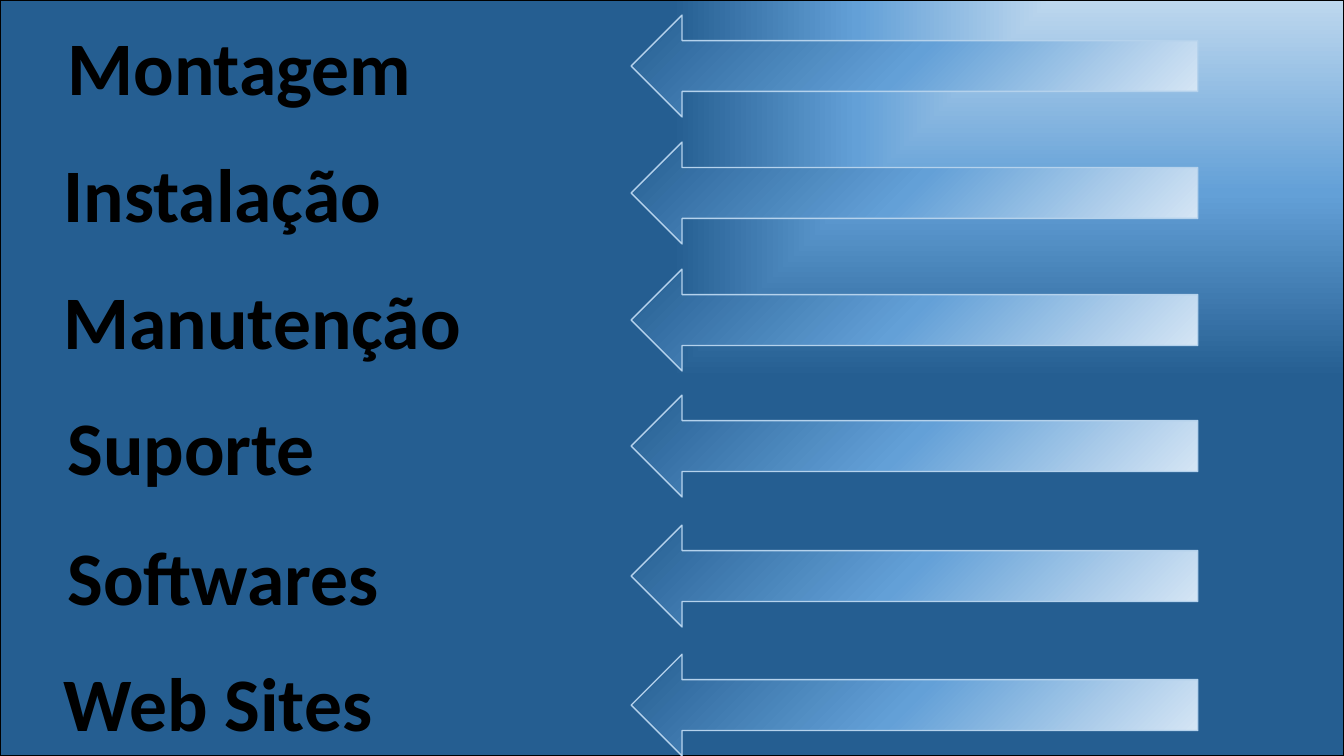
from lxml import etree
from pptx import Presentation
from pptx.dml.color import RGBColor
from pptx.enum.shapes import MSO_SHAPE as Shape
from pptx.enum.text import MSO_AUTO_SIZE as AutoSize
from pptx.oxml import parse_xml
from pptx.oxml.ns import nsdecls, qn
from pptx.util import Inches, Pt

BLACK = RGBColor(0x00, 0x00, 0x00)
WHITE = RGBColor(0xFF, 0xFF, 0xFF)
SKY = RGBColor(0xBD, 0xD7, 0xEE)
PALE = RGBColor(0xDE, 0xEB, 0xF7)
MEDIUM = RGBColor(0x63, 0xA0, 0xD7)
DEEP = RGBColor(0x25, 0x5E, 0x91)
EDGE = RGBColor(0xB5, 0xD2, 0xEC)

WIDTH, HEIGHT = 13.33, 7.5
ROW_HEIGHT = 1.01
ARROW_LEFT, ARROW_WIDTH = 6.26, 5.62

# label, label left, label top, label width, arrow top
SERVICES = [
    ("Montagem", 0.57, 0.15, 3.82, 0.15),
    ("Instalação", 0.53, 1.41, 3.38, 1.41),
    ("Manutenção", 0.53, 2.67, 4.19, 2.67),
    ("Suporte", 0.57, 3.92, 2.68, 3.92),
    ("Softwares", 0.57, 5.21, 3.34, 5.21),
    ("Web Sites", 0.53, 6.46, 3.3, 6.49),
]


def write_text(paragraph, text, *, size, color, outline, font="Calibri", bold=True):
    """Add a run whose letters carry a thin outline."""
    run = paragraph.add_run()
    run.text = text
    run.font.name = font
    run.font.size = Pt(size)
    run.font.bold = bold
    run.font.color.rgb = color
    line = etree.Element(qn("a:ln"), w=str(Pt(0.75)))
    fill = etree.SubElement(line, qn("a:solidFill"))
    etree.SubElement(fill, qn("a:srgbClr"), val=str(outline))
    run.font._element.insert(0, line)


class ServiceSlide:
    """Holds the slide and the style of its elements."""

    text_style = dict(size=54, color=BLACK, outline=WHITE)

    def __init__(self, presentation):
        self.slide = presentation.slides.add_slide(presentation.slide_layouts[6])

    def gradient_shape(self, kind, box, *, light, line, shade, focus):
        """Add a shape that darkens away from the focus corner (l, t, r, b attributes)."""
        shape = self.slide.shapes.add_shape(kind, *map(Inches, box))
        shape.shadow.inherit = False
        shape.line.color.rgb = line
        shape.line.width = Pt(1)
        shape.fill.background()
        stops = "".join(
            f'<a:gs pos="{position * 1000}"><a:srgbClr val="{color}"/></a:gs>'
            for position, color in ((0, light), (51, MEDIUM), (100, DEEP))
        )
        gradient = parse_xml(
            f'<a:gradFill {nsdecls("a")} rotWithShape="1"><a:gsLst>{stops}</a:gsLst>'
            f'<a:path path="{shade}"><a:fillToRect {focus}/></a:path></a:gradFill>'
        )
        properties = shape._element.spPr
        properties.replace(properties.find(qn("a:noFill")), gradient)

    def background(self):
        self.gradient_shape(Shape.RECTANGLE, (0, 0, WIDTH, HEIGHT), light=SKY,
                            line=BLACK, shade="rect", focus='l="100000" b="100000"')

    def arrow(self, top):
        self.gradient_shape(Shape.LEFT_ARROW, (ARROW_LEFT, top, ARROW_WIDTH, ROW_HEIGHT),
                            light=PALE, line=EDGE, shade="circle",
                            focus='l="100000" t="100000"')

    def label(self, text, left, top, width):
        box = self.slide.shapes.add_textbox(*map(Inches, (left, top, width, ROW_HEIGHT)))
        frame = box.text_frame
        frame.word_wrap = False
        frame.auto_size = AutoSize.SHAPE_TO_FIT_TEXT
        write_text(frame.paragraphs[0], text, **self.text_style)


def main():
    presentation = Presentation()
    presentation.slide_width = Inches(WIDTH)
    presentation.slide_height = Inches(HEIGHT)
    services = ServiceSlide(presentation)
    services.background()
    for text, left, top, width, arrow_top in SERVICES:
        services.label(text, left, top, width)
        services.arrow(arrow_top)
    presentation.save("out.pptx")


if __name__ == "__main__":
    main()
